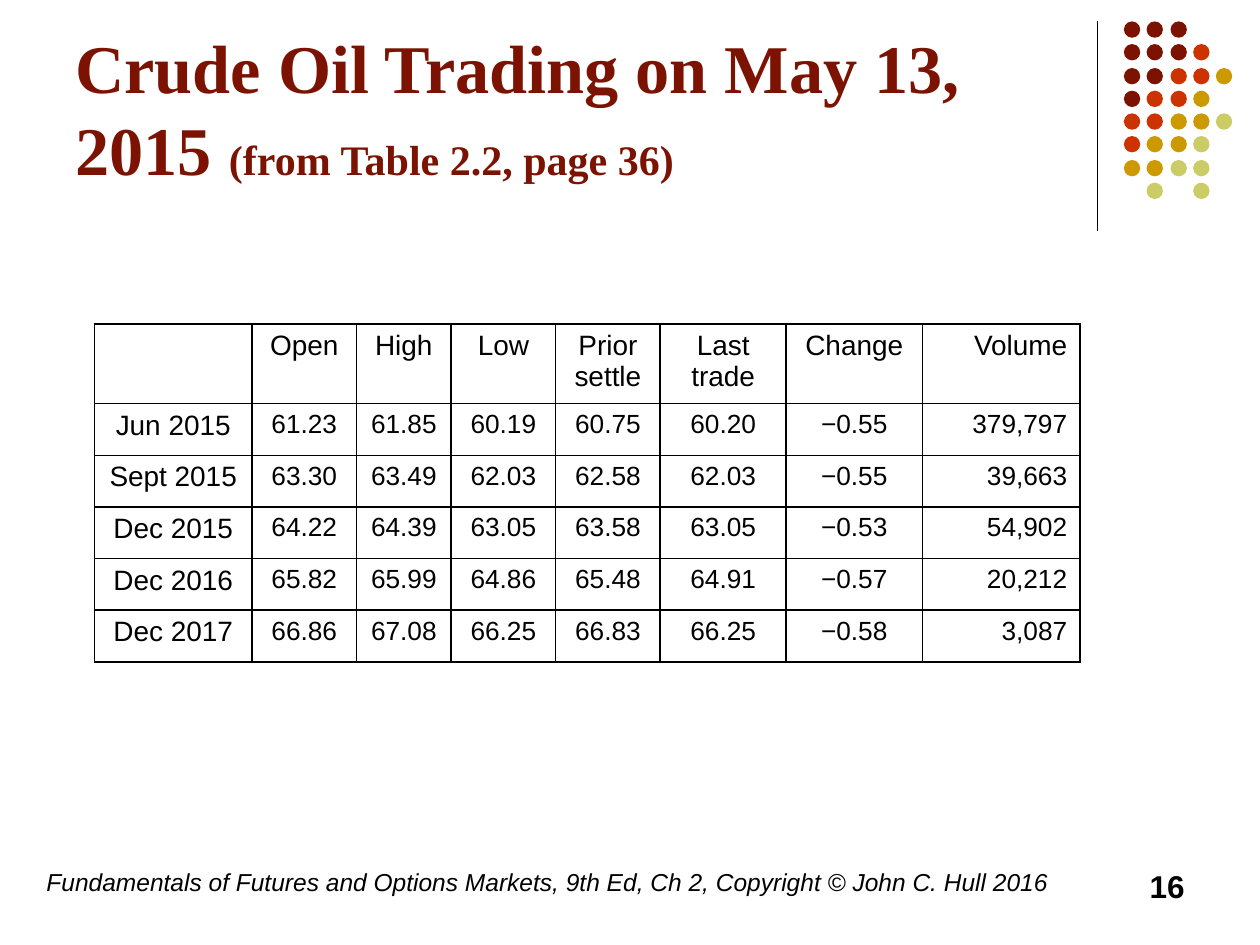
from lxml import etree
from pptx import Presentation
from pptx import util as u
from pptx.dml.color import RGBColor
from pptx.enum import shapes, text
from pptx.oxml import parse_xml
from pptx.oxml.ns import nsdecls, qn

PX = 9144  # EMU per px, 100 px to the inch
BLACK, MAROON = "000000", "7C1302"
LEFT, CENTER, RIGHT = text.PP_ALIGN.LEFT, text.PP_ALIGN.CENTER, text.PP_ALIGN.RIGHT


def color(hex_code):
    return RGBColor.from_string(hex_code)


def write(para, words, size=16, font="Arial", ink=BLACK, bold=False, italic=False, align=LEFT):
    """Append one formatted run to a paragraph."""
    para.alignment = align
    span = para.add_run()
    span.text = words
    span.font.size = u.Pt(size)
    span.font.name = font
    span.font.color.rgb = color(ink)
    span.font.bold = bold
    span.font.italic = italic


deck = Presentation()
deck.slide_width, deck.slide_height = 1000 * PX, 750 * PX
page = deck.slides.add_slide(deck.slide_layouts[6])

# Vertical rule beside the dot pattern
rule = page.shapes.add_connector(
    shapes.MSO_CONNECTOR.STRAIGHT, 871 * PX, 17 * PX, 871 * PX, 183 * PX)
rule.line.color.rgb = color(BLACK)
rule.line.width = u.Pt(0.75)
etree.SubElement(rule._element.spPr, qn("a:effectLst"))

# Dot pattern: one letter per dot, a space where there is none
DOT_COLORS = {"m": MAROON, "r": "CC3300", "o": "CC9900", "y": "CCCC66"}
DOT_ROWS = ["mmm", "mmmr", "mmrro", "mrro", "rrooy", "rooy", "ooyy", " y y"]
DOT_PITCH = 18.3
for row, letters in enumerate(DOT_ROWS):
    for col, letter in enumerate(letters):
        if letter == " ":
            continue
        dot = page.shapes.add_shape(
            shapes.MSO_SHAPE.OVAL,
            round(892 + col * DOT_PITCH) * PX, round(17 + row * DOT_PITCH) * PX,
            13 * PX, 13 * PX)
        dot.shadow.inherit = False
        dot.fill.solid()
        dot.fill.fore_color.rgb = color(DOT_COLORS[letter])
        dot.line.fill.background()

# Footer and page number
footer = page.shapes.add_textbox(27 * PX, 683 * PX, 827 * PX, 50 * PX).text_frame
footer.word_wrap = True
write(footer.paragraphs[0],
      "Fundamentals of Futures and Options Markets, 9th Ed, Ch 2, Copyright © John C. Hull 2016",
      size=14, italic=True)

number = page.shapes.add_textbox(717 * PX, 683 * PX, 233 * PX, 50 * PX).text_frame
number.word_wrap = True
write(number.paragraphs[0], "16", size=18, bold=True, align=RIGHT)

# Price table
PRICES = [
    ["", "Open", "High", "Low", "Prior\nsettle", "Last trade", "Change", "Volume"],
    ["Jun 2015", "61.23", "61.85", "60.19", "60.75", "60.20", "−0.55", "379,797"],
    ["Sept 2015", "63.30", "63.49", "62.03", "62.58", "62.03", "−0.55", "39,663"],
    ["Dec 2015", "64.22", "64.39", "63.05", "63.58", "63.05", "−0.53", "54,902"],
    ["Dec 2016", "65.82", "65.99", "64.86", "65.48", "64.91", "−0.57", "20,212"],
    ["Dec 2017", "66.86", "67.08", "66.25", "66.83", "66.25", "−0.58", "3,087"],
]
COL_WIDTHS = [125, 83, 75, 83, 83, 100, 108, 125]
ROW_HEIGHTS = [63] + [41] * 5
table = page.shapes.add_table(
    len(PRICES), len(COL_WIDTHS), 75 * PX, 257 * PX,
    sum(COL_WIDTHS) * PX, sum(ROW_HEIGHTS) * PX).table
table.first_row = table.horz_banding = False
for column, width in zip(table.columns, COL_WIDTHS):
    column.width = width * PX
for table_row, height in zip(table.rows, ROW_HEIGHTS):
    table_row.height = height * PX

for row, values in enumerate(PRICES):
    for col, value in enumerate(values):
        cell = table.cell(row, col)
        cell_props = cell._tc.get_or_add_tcPr()
        for side in ("lnL", "lnR", "lnT", "lnB"):
            cell_props.append(parse_xml(
                f'<a:{side} {nsdecls("a")} w="{u.Pt(1)}"><a:solidFill>'
                f'<a:srgbClr val="{BLACK}"/></a:solidFill></a:{side}>'))
        cell.fill.background()
        if not value:
            continue
        frame = cell.text_frame
        for index, line in enumerate(value.split("\n")):
            para = frame.add_paragraph() if index else frame.paragraphs[0]
            write(para, line, size=15 if row and col else 16,
                  align=RIGHT if col == len(values) - 1 else CENTER)

# Title
title = page.shapes.add_textbox(50 * PX, 13 * PX, 825 * PX, 142 * PX).text_frame
title.word_wrap = True
title.vertical_anchor = text.MSO_ANCHOR.BOTTOM
for words, size in [("Crude Oil Trading on May 13, 2015 ", 39),
                    ("(from Table 2.2, page 36)", 24)]:
    write(title.paragraphs[0], words, size=size, font="Times New Roman", ink=MAROON, bold=True)

deck.save("out.pptx")
